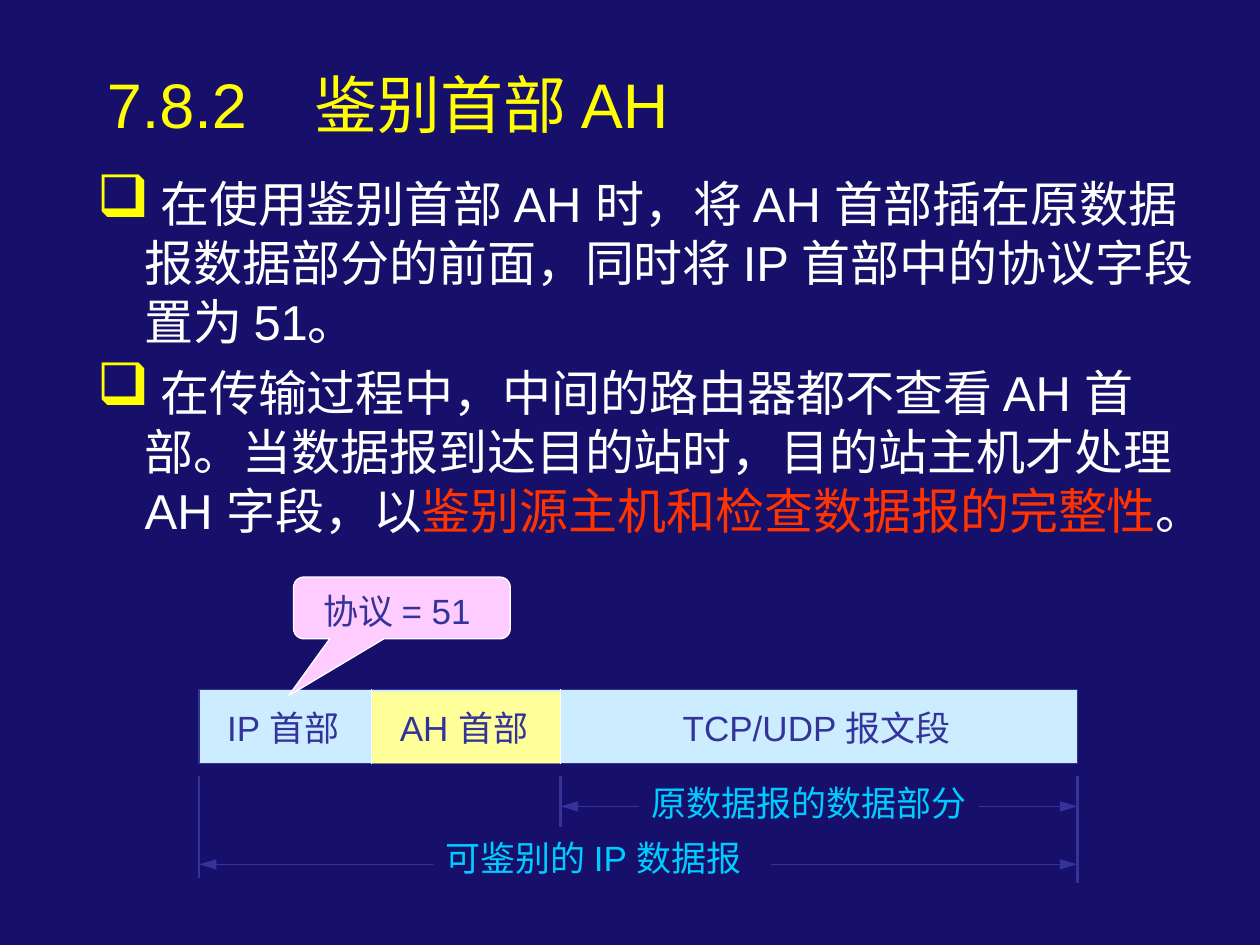
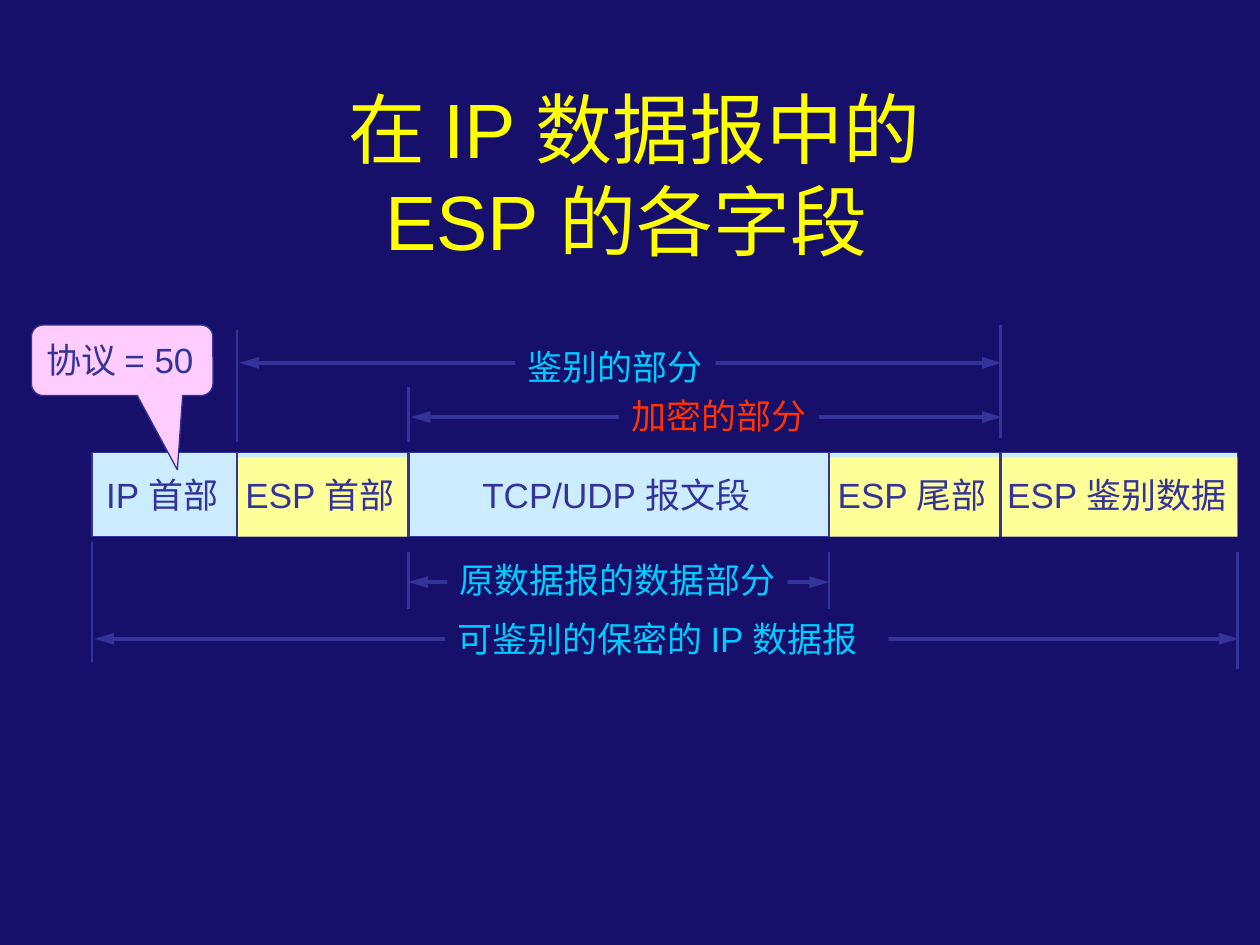
from dataclasses import dataclass

from lxml import etree
from pptx import Presentation
from pptx.dml.color import RGBColor
from pptx.enum.lang import MSO_LANGUAGE_ID
from pptx.enum.shapes import MSO_CONNECTOR, MSO_SHAPE
from pptx.enum.text import MSO_ANCHOR, MSO_AUTO_SIZE, PP_ALIGN
from pptx.oxml.ns import qn
from pptx.util import Inches, Pt

STRAIGHT = MSO_CONNECTOR.STRAIGHT
RECTANGLE = MSO_SHAPE.RECTANGLE
CALLOUT = MSO_SHAPE.ROUNDED_RECTANGULAR_CALLOUT
MIDDLE = MSO_ANCHOR.MIDDLE
FIXED_SIZE = MSO_AUTO_SIZE.NONE
LEFT, CENTER = PP_ALIGN.LEFT, PP_ALIGN.CENTER
CHINESE = MSO_LANGUAGE_ID.SIMPLIFIED_CHINESE


@dataclass(frozen=True)
class Theme:
    font: str = "Arial"
    background: str = "16106B"
    title: str = "FFFF01"
    bullet: str = "FFFF00"
    body: str = "FFFFFF"
    accent: str = "FF3300"
    ink: str = "333399"
    caption: str = "00CCFF"
    plain_field: str = "CCECFF"
    security_field: str = "FFFF99"
    callout: str = "FFCCFF"
    body_size: int = 28
    label_size: int = 20
    thin: float = 0.75
    tick: float = 1.5
    bold: float = 2.25
    label_height: float = 0.44


def add_xml(parent, tag, **attributes):
    child = etree.SubElement(parent, qn(tag))
    for name, value in attributes.items():
        child.set(name, str(value))
    return child


class Deck:
    def __init__(self, theme):
        self.theme = theme
        self.presentation = Presentation()
        self.presentation.slide_width = Inches(10)
        self.presentation.slide_height = Inches(7.5)
        self.slide = None

    def new_slide(self):
        self.slide = self.presentation.slides.add_slide(self.presentation.slide_layouts[6])
        fill = self.slide.background.fill
        fill.solid()
        fill.fore_color.rgb = RGBColor.from_string(self.theme.background)

    def format_run(self, run, size, color):
        run.font.name = self.theme.font
        run.font.size = Pt(size)
        run.font.color.rgb = RGBColor.from_string(color)
        run.font.language_id = CHINESE

    def text_box(self, left, top, width, height):
        return self.slide.shapes.add_textbox(
            Inches(left), Inches(top), Inches(width), Inches(height))

    def title(self, text, left, top, width, height, size, align=LEFT, tab=None):
        frame = self.text_box(left, top, width, height).text_frame
        frame.word_wrap = True
        frame.vertical_anchor = MIDDLE
        frame.text = text
        paragraph = frame.paragraphs[0]
        paragraph.alignment = align
        if tab:
            stops = add_xml(paragraph._p.get_or_add_pPr(), "a:tabLst")
            add_xml(stops, "a:tab", pos=Inches(tab), algn="l")
        for run in paragraph.runs:
            self.format_run(run, size, self.theme.title)

    def bullets(self, items, left, top, width, height):
        """Each item is a list of (text, color) parts."""
        frame = self.text_box(left, top, width, height).text_frame
        frame.word_wrap = True
        for index, parts in enumerate(items):
            paragraph = frame.add_paragraph() if index else frame.paragraphs[0]
            paragraph.space_before = Pt(7)
            properties = paragraph._p.get_or_add_pPr()
            properties.set("marL", str(Inches(0.38)))
            properties.set("indent", str(-Inches(0.38)))
            properties.set("hangingPunct", "0")
            color_node = add_xml(properties, "a:buClr")
            add_xml(color_node, "a:srgbClr", val=self.theme.bullet)
            add_xml(properties, "a:buSzPct", val=120000)
            add_xml(properties, "a:buChar", char="❑")
            for text, color in parts:
                run = paragraph.add_run()
                run.text = text
                self.format_run(run, self.theme.body_size, color)

    def label(self, text, left, top, width, color, fill=None):
        box = self.text_box(left, top, width, self.theme.label_height)
        if fill:
            box.fill.solid()
            box.fill.fore_color.rgb = RGBColor.from_string(fill)
        frame = box.text_frame
        frame.word_wrap = False
        frame.auto_size = FIXED_SIZE
        frame.margin_right = 0  # leaves room so that the text stays on one line
        frame.text = text
        paragraph = frame.paragraphs[0]
        paragraph.alignment = LEFT
        self.format_run(paragraph.runs[0], self.theme.label_size, color)

    def shape(self, kind, left, top, width, height, fill, line=None):
        shape = self.slide.shapes.add_shape(
            kind, Inches(left), Inches(top), Inches(width), Inches(height))
        shape.shadow.inherit = False
        shape.fill.solid()
        shape.fill.fore_color.rgb = RGBColor.from_string(fill)
        if line:
            shape.line.color.rgb = RGBColor.from_string(line)
            shape.line.width = Pt(self.theme.thin)
        else:
            shape.line.fill.background()
        return shape

    def line(self, start, end, color, weight, arrows=False):
        connector = self.slide.shapes.add_connector(
            STRAIGHT, *(Inches(value) for value in (*start, *end)))
        connector.line.color.rgb = RGBColor.from_string(color)
        connector.line.width = Pt(weight)
        if arrows:
            outline = connector.line._get_or_add_ln()
            for tag in ("a:headEnd", "a:tailEnd"):
                add_xml(outline, tag, type="triangle", w="med", len="lg")
        add_xml(connector._element.spPr, "a:effectLst")

    def packet(self, left, top, height, fields, inset, label_top, divider, weight):
        """Draw a bar of fields, each (text, right edge, label width, is security)."""
        right = fields[-1][1]
        self.shape(RECTANGLE, left, top, right - left, height,
                   self.theme.plain_field, self.theme.ink)
        start = left
        for text, end, width, is_security in fields:
            if is_security:
                self.shape(RECTANGLE, start, top + inset, end - start,
                           height - inset, self.theme.security_field)
            self.label(text, (start + end - width) / 2 + 0.02, label_top,
                       width, self.theme.ink)
            start = end
        for _, edge, _, _ in fields[:-1]:
            self.line((edge, top), (edge, top + height), divider, weight)

    def callout(self, text, left, top, width, height, pointer, line, text_left, text_top):
        shape = self.shape(CALLOUT, left, top, width, height, self.theme.callout, line)
        for index, value in enumerate((*pointer, 0.167)):
            shape.adjustments[index] = value
        self.label(text, text_left, text_top, 1.43, self.theme.ink)

    def ticks(self, marks):
        for x, top, bottom in marks:
            self.line((x, top), (x, bottom), self.theme.ink, self.theme.tick)

    def span(self, text, start, end, y, label_left, label_top, label_width, weight,
             color=None):
        self.line((start, y), (end, y), self.theme.ink, weight, arrows=True)
        self.label(text, label_left, label_top, label_width,
                   color or self.theme.caption, self.theme.background)


theme = Theme()
deck = Deck(theme)

# Slide 1: authentication header
deck.new_slide()
deck.title("7.8.2\t鉴别首部 AH", 0.75, 0.44, 8.1, 0.76, 36, tab=1.65)
deck.bullets([
    [(" 在使用鉴别首部 AH 时，将 AH 首部插在原数据报数据部分的前面，"
      "同时将 IP 首部中的协议字段置为 51。", theme.body)],
    [(" 在传输过程中，中间的路由器都不查看 AH 首部。当数据报到达目的站时，"
      "目的站主机才处理 AH 字段，以", theme.body),
     ("鉴别源主机和检查数据报的完整性", theme.accent),
     ("。", theme.body)],
], 0.67, 1.33, 9.05, 3.08)
deck.packet(1.58, 5.47, 0.59, [
    ("IP 首部", 2.95, 1.16, False),
    ("AH 首部", 4.45, 1.29, True),
    ("TCP/UDP 报文段", 8.55, 2.4, False),
], inset=0.02, label_top=5.56, divider=theme.body, weight=theme.thin)
deck.callout("协议 = 51", 2.33, 4.58, 1.72, 0.49, (-0.523, 1.421), theme.body, 2.47, 4.63)
deck.ticks([(1.58, 6.16, 6.97), (4.45, 6.16, 6.56), (8.55, 6.16, 7.01)])
deck.span("原数据报的数据部分", 4.45, 8.55, 6.4, 5.07, 6.15, 2.7, theme.thin)
deck.span("可鉴别的 IP 数据报", 1.58, 8.55, 6.86, 3.44, 6.59, 2.68, theme.thin)

# Slide 2: ESP fields in the datagram
deck.new_slide()
deck.title("在 IP 数据报中的\vESP 的各字段 ", 0.75, 0.58, 8.58, 1.6, 44, CENTER)
deck.packet(0.73, 3.59, 0.67, [
    ("IP 首部", 1.88, 1.16, False),
    ("ESP 首部", 3.24, 1.46, True),
    ("TCP/UDP 报文段", 6.58, 2.4, False),
    ("ESP 尾部", 7.94, 1.46, True),
    ("ESP 鉴别数据", 9.82, 2.01, True),
], inset=0.04, label_top=3.71, divider=theme.ink, weight=theme.tick)
deck.callout("协议 = 50", 0.25, 2.58, 1.44, 0.56, (0.304, 1.553), theme.ink, 0.27, 2.64)
deck.ticks([
    (1.88, 2.62, 3.51), (3.24, 3.07, 3.51), (7.94, 2.58, 3.48),
    (0.73, 4.3, 5.25), (3.24, 4.38, 4.83), (6.58, 4.38, 4.83), (9.82, 4.38, 5.31),
])
deck.span("鉴别的部分", 1.9, 7.95, 2.88, 4.09, 2.69, 1.59, theme.bold)
deck.span("加密的部分", 3.26, 7.95, 3.31, 4.91, 3.08, 1.59, theme.bold, theme.accent)
deck.span("原数据报的数据部分", 3.24, 6.58, 4.62, 3.55, 4.38, 2.7, theme.bold)
deck.span("可鉴别的保密的 IP 数据报", 0.75, 9.83, 5.07, 3.53, 4.85, 3.52, theme.bold)

deck.presentation.save("out.pptx")
